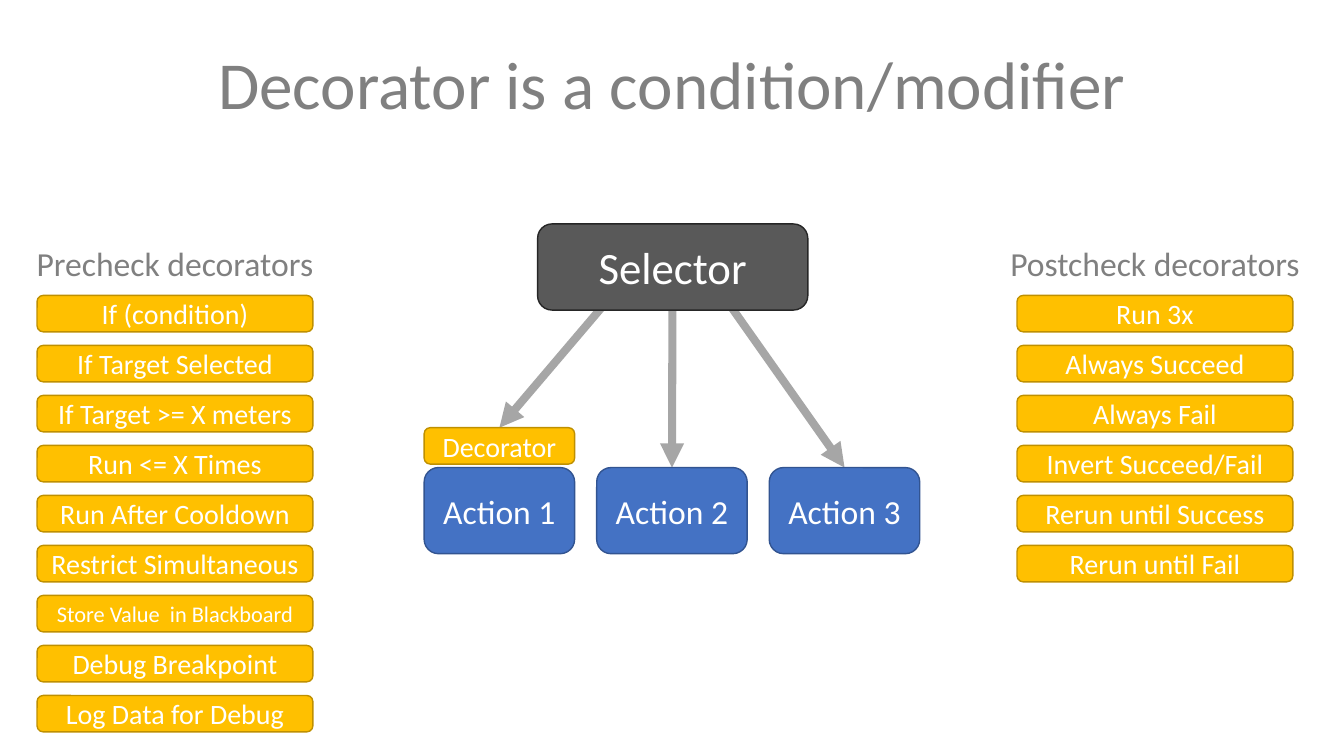
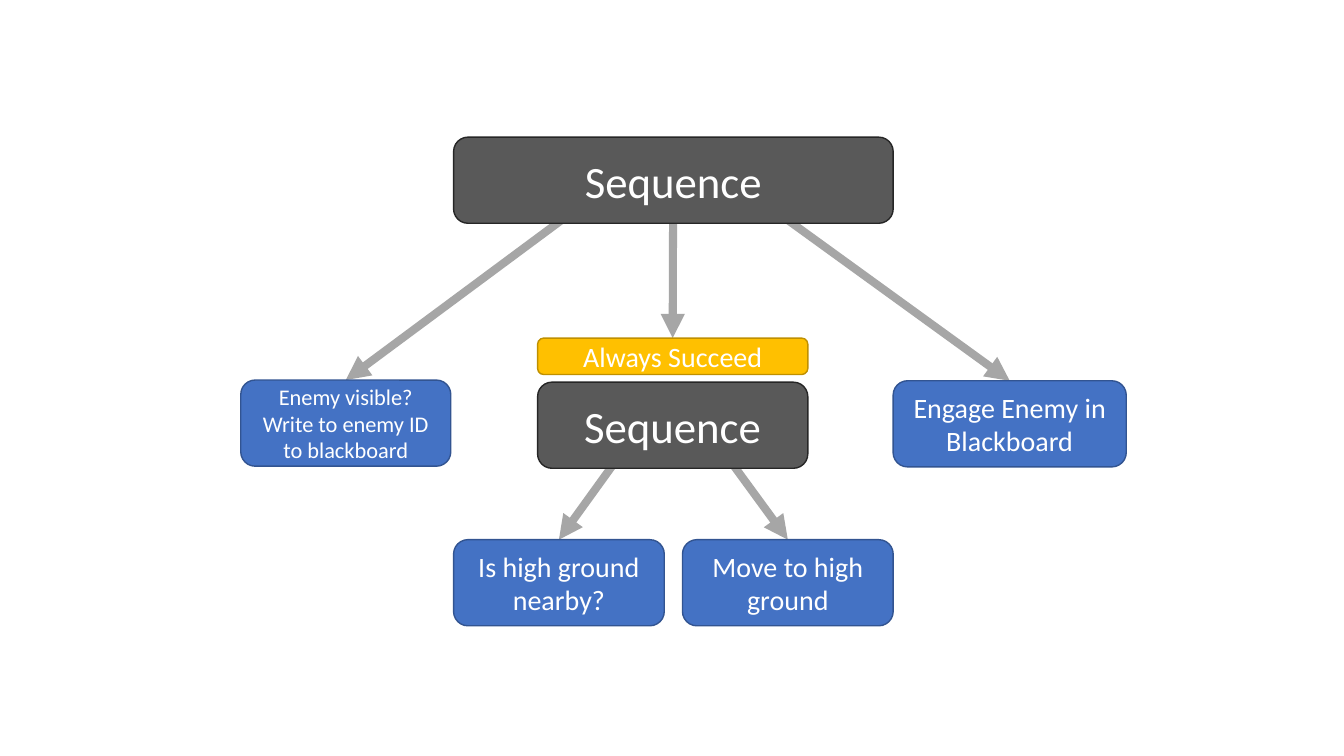
from dataclasses import dataclass

from lxml import etree
from pptx import Presentation
from pptx.dml.color import RGBColor
from pptx.enum.shapes import MSO_CONNECTOR, MSO_SHAPE
from pptx.enum.text import MSO_ANCHOR, MSO_AUTO_SIZE, PP_ALIGN
from pptx.oxml.ns import qn
from pptx.util import Pt

ROUNDED = MSO_SHAPE.ROUNDED_RECTANGLE
STRAIGHT = MSO_CONNECTOR.STRAIGHT
CENTER = PP_ALIGN.CENTER
TOP, MIDDLE = MSO_ANCHOR.TOP, MSO_ANCHOR.MIDDLE
TITLE_ONLY, BLANK = 5, 6


@dataclass(frozen=True)
class Theme:
    font: str = "Calibri"
    heading: str = "808080"
    node_text: str = "FFFFFF"
    arrow: str = "A6A6A6"
    arrow_width: float = 5.75
    title_size: int = 48
    header_size: int = 24
    small_size: int = 16


@dataclass(frozen=True)
class NodeStyle:
    fill: str
    line: str
    size: int
    height: float


THEME = Theme()
CONTROL = NodeStyle("595959", "262626", 32, 61.5)
ACTION = NodeStyle("4472C4", "325491", 24, 61.5)
DECORATOR = NodeStyle("FFC000", "BF9000", 20, 26)

SLIDE_W, SLIDE_H = 960, 540

# Decorator lists: header, left edge, labels
TITLE = "Decorator is a condition/modifier"
COLUMNS = [
    ("Precheck decorators", 26.5, [
        "If (condition)", "If Target Selected", "If Target >= X meters",
        "Run <= X Times", "Run After Cooldown", "Restrict Simultaneous",
        "Store Value  in Blackboard", "Debug Breakpoint", "Log Data for Debug"]),
    ("Postcheck decorators", 726.5, [
        "Run 3x", "Always Succeed", "Always Fail", "Invert Succeed/Fail",
        "Rerun until Success", "Rerun until Fail"]),
]
SMALL_LABELS = {"Store Value  in Blackboard"}
COLUMN_W, COLUMN_TOP, COLUMN_PITCH = 197, 211, 35.72
HEADER_W, HEADER_TOP, HEADER_H = 237.5, 170, 36.5

# Trees: key -> (style, text, left, top, width, text size or None)
ACTION_LEFT, ACTION_TOP, ACTION_W, ACTION_PITCH = 303, 334, 107.5, 123.25
SELECTOR_NODES = {
    "selector": (CONTROL, "Selector", 384, 160, 193, None),
    "decorator": (DECORATOR, "Decorator", ACTION_LEFT, 305.5, ACTION_W, None),
    **{f"action{i + 1}": (ACTION, f"Action {i + 1}", ACTION_LEFT + i * ACTION_PITCH,
                          ACTION_TOP, ACTION_W, None) for i in range(3)},
}
SELECTOR_ARROWS = [("selector", "decorator"), ("selector", "action2"),
                   ("selector", "action3")]

SEQUENCE_NODES = {
    "root": (CONTROL, "Sequence", 324, 98, 314, None),
    "visible": (ACTION, "Enemy visible?\nWrite to enemy ID to blackboard",
                172, 271.5, 150, THEME.small_size),
    "succeed": (DECORATOR, "Always Succeed", 384, 241.5, 193, None),
    "inner": (CONTROL, "Sequence", 384, 273, 193, None),
    "engage": (ACTION, "Engage Enemy in Blackboard", 638, 272, 166.5, 20),
    "nearby": (ACTION, "Is high ground nearby?", 324, 385.5, 150.5, 20),
    "move": (ACTION, "Move to high ground", 487.5, 385.5, 150.5, 20),
}
SEQUENCE_ARROWS = [("root", "visible"), ("root", "succeed"), ("root", "engage"),
                   ("inner", "nearby"), ("inner", "move")]


def rgb(value):
    return RGBColor.from_string(value)


def write(sp, text, size, color, anchor):
    tf = sp.text_frame
    tf.text = text
    tf.word_wrap = True
    tf.auto_size = MSO_AUTO_SIZE.NONE
    tf.vertical_anchor = anchor
    for p in tf.paragraphs:
        p.alignment = CENTER
        p.font.name = THEME.font
        p.font.size = Pt(size)
        p.font.color.rgb = rgb(color)


def add_node(s, style, text, left, top, width, size=None):
    sp = s.shapes.add_shape(ROUNDED, Pt(left), Pt(top), Pt(width), Pt(style.height))
    sp.shadow.inherit = False
    sp.fill.solid()
    sp.fill.fore_color.rgb = rgb(style.fill)
    sp.line.color.rgb = rgb(style.line)
    sp.line.width = Pt(1)
    write(sp, text, size or style.size, THEME.node_text, MIDDLE)


def add_arrow(s, parent, child):
    """Aim from the parent's top centre, starting behind its middle."""
    style, _, left, top, width, _ = parent
    _, _, child_left, end_y, child_width, _ = child
    x, end_x = left + width / 2, child_left + child_width / 2
    depth = style.height / 2
    start_x = x + (end_x - x) * depth / (end_y - top)
    line = s.shapes.add_connector(STRAIGHT, Pt(start_x), Pt(top + depth),
                                  Pt(end_x), Pt(end_y))
    line.line.color.rgb = rgb(THEME.arrow)
    line.line.width = Pt(THEME.arrow_width)
    etree.SubElement(line.line._get_or_add_ln(), qn("a:tailEnd"), type="triangle")
    etree.SubElement(line._element.spPr, qn("a:effectLst"))


def add_tree(s, nodes, arrows):
    # Arrows go first so that they stay behind the nodes
    for parent, child in arrows:
        add_arrow(s, nodes[parent], nodes[child])
    for node in nodes.values():
        add_node(s, *node)


def add_column(s, header, left, labels):
    header_left = left + (COLUMN_W - HEADER_W) / 2
    sp = s.shapes.add_textbox(Pt(header_left), Pt(HEADER_TOP), Pt(HEADER_W), Pt(HEADER_H))
    write(sp, header, THEME.header_size, THEME.heading, TOP)
    for i, label in enumerate(labels):
        size = THEME.small_size if label in SMALL_LABELS else None
        add_node(s, DECORATOR, label, left, COLUMN_TOP + i * COLUMN_PITCH, COLUMN_W, size)


def main():
    prs = Presentation()
    prs.slide_width, prs.slide_height = Pt(SLIDE_W), Pt(SLIDE_H)

    # Decorator overview
    s = prs.slides.add_slide(prs.slide_layouts[TITLE_ONLY])
    title = s.shapes.title
    title.left, title.top, title.width, title.height = Pt(0), Pt(26.5), Pt(SLIDE_W), Pt(65.5)
    write(title, TITLE, THEME.title_size, THEME.heading, TOP)
    add_tree(s, SELECTOR_NODES, SELECTOR_ARROWS)
    for column in COLUMNS:
        add_column(s, *column)

    # Sequence example
    s = prs.slides.add_slide(prs.slide_layouts[BLANK])
    add_tree(s, SEQUENCE_NODES, SEQUENCE_ARROWS)

    prs.save("out.pptx")


if __name__ == "__main__":
    main()
